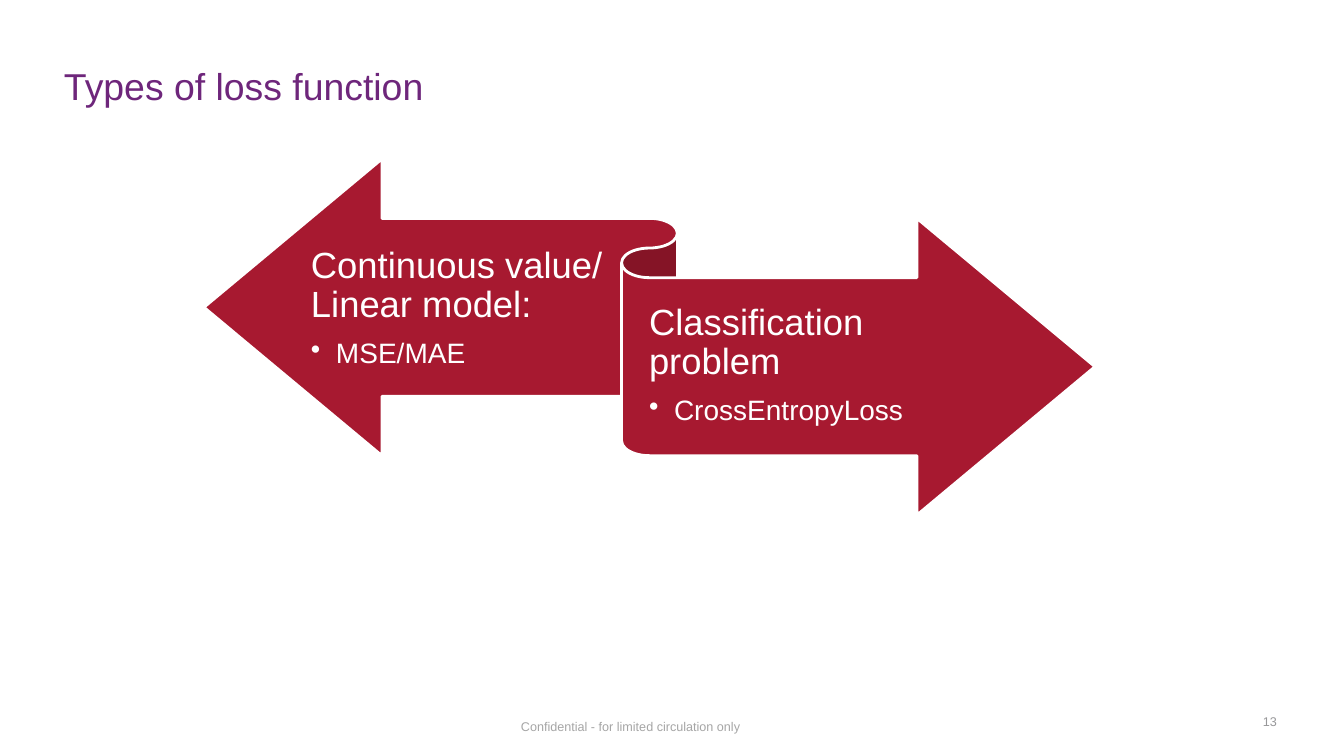
from dataclasses import dataclass

from lxml.etree import SubElement
from pptx import Presentation
from pptx.dml.color import RGBColor
from pptx.enum.shapes import MSO_SHAPE
from pptx.enum.text import MSO_ANCHOR as Anchor, MSO_AUTO_SIZE as AutoSize, PP_ALIGN as Align
from pptx.oxml.ns import qn
from pptx.slide import Slide
from pptx.text.text import TextFrame
from pptx.util import Pt

EMU_PER_PX = 914400 / 100.8


@dataclass(frozen=True)
class Theme:
    font: str = "Arial"
    title_color: str = "6E267B"
    ribbon_color: str = "A71930"
    light_color: str = "FFFFFF"
    footer_color: str = "A6A6A6"
    number_color: str = "979799"
    title_size: float = 26.7
    heading_size: float = 26
    bullet_size: float = 20
    footer_size: float = 9


@dataclass(frozen=True)
class Box:
    left: int
    top: int
    width: int
    height: int

    def emu(self) -> tuple[int, ...]:
        return tuple(px(n) for n in (self.left, self.top, self.width, self.height))


@dataclass(frozen=True)
class LossType:
    box: Box
    heading: str
    loss: str


THEME = Theme()
LOSS_TYPES = (
    LossType(Box(311, 222, 294, 174), "Continuous value/ Linear model:", "MSE/MAE"),
    LossType(Box(649, 279, 348, 174), "Classification problem", "CrossEntropyLoss"),
)


def px(length: int) -> int:
    return round(length * EMU_PER_PX)


def add_frame(slide: Slide, box: Box, *, side: int = 0, top: int = 5, bottom: int = 5,
              anchor: Anchor = Anchor.MIDDLE, wrap: bool = True) -> TextFrame:
    frame = slide.shapes.add_textbox(*box.emu()).text_frame
    frame.word_wrap = wrap
    frame.auto_size = AutoSize.NONE if wrap else AutoSize.SHAPE_TO_FIT_TEXT
    frame.vertical_anchor = anchor
    frame.margin_left = frame.margin_right = px(side)
    frame.margin_top, frame.margin_bottom = px(top), px(bottom)
    return frame


def write(frame: TextFrame, text: str, *, size: float, color: str, align: Align = Align.LEFT,
          spacing: float = 1.0, after: float = 0, bullet: bool = False) -> None:
    paragraph = frame.add_paragraph() if frame.text else frame.paragraphs[0]
    paragraph.alignment = align
    paragraph.line_spacing = spacing
    paragraph.space_after = Pt(after)
    run = paragraph.add_run()
    run.text = text
    run.font.name = THEME.font
    run.font.size = Pt(size)
    run.font.color.rgb = RGBColor.from_string(color)
    if bullet:
        paragraph.level = 1
        properties = paragraph._p.get_or_add_pPr()
        properties.set("marL", str(px(25)))
        properties.set("indent", str(px(-25)))
        SubElement(properties, qn("a:buChar")).set("char", "•")


def add_ribbon(slide: Slide, box: Box) -> None:
    ribbon = slide.shapes.add_shape(MSO_SHAPE.LEFT_RIGHT_RIBBON, *box.emu())
    ribbon.shadow.inherit = False
    ribbon.fill.solid()
    ribbon.fill.fore_color.rgb = RGBColor.from_string(THEME.ribbon_color)
    ribbon.line.color.rgb = RGBColor.from_string(THEME.light_color)
    ribbon.line.width = Pt(2)


def add_loss_type(slide: Slide, loss_type: LossType) -> None:
    frame = add_frame(slide, loss_type.box, top=10, bottom=11)
    write(frame, loss_type.heading, size=THEME.heading_size, color=THEME.light_color,
          spacing=0.9, after=10)
    write(frame, loss_type.loss, size=THEME.bullet_size, color=THEME.light_color,
          spacing=0.9, after=3, bullet=True)


def main() -> None:
    presentation = Presentation()
    presentation.slide_width, presentation.slide_height = px(1344), px(756)
    slide = presentation.slides.add_slide(presentation.slide_layouts[6])

    footer = add_frame(slide, Box(511, 714, 242, 25), side=10, anchor=Anchor.TOP, wrap=False)
    write(footer, "Confidential - for limited circulation only",
          size=THEME.footer_size, color=THEME.footer_color)
    title = add_frame(slide, Box(64, 50, 1210, 71))
    write(title, "Types of loss function", size=THEME.title_size, color=THEME.title_color)

    add_ribbon(slide, Box(204, 159, 891, 356))
    for loss_type in LOSS_TYPES:
        add_loss_type(slide, loss_type)

    number = add_frame(slide, Box(964, 702, 313, 40))
    write(number, "13", size=THEME.footer_size, color=THEME.number_color, align=Align.RIGHT)
    presentation.save("out.pptx")


if __name__ == "__main__":
    main()
